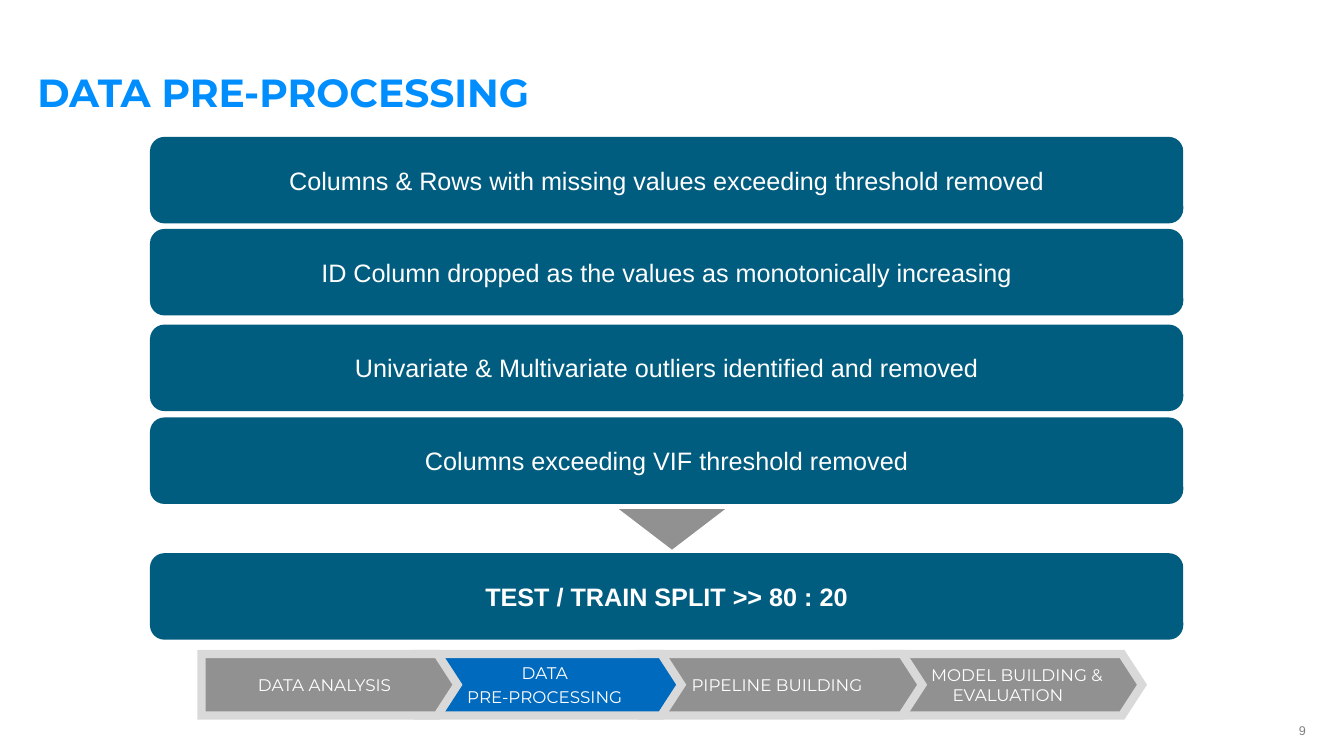
from dataclasses import dataclass

from lxml import etree
from pptx import Presentation
from pptx.dml.color import RGBColor
from pptx.enum.shapes import MSO_SHAPE
from pptx.enum.text import MSO_ANCHOR, MSO_AUTO_SIZE, PP_ALIGN
from pptx.oxml.ns import qn
from pptx.util import Cm, Pt

ROUND = MSO_SHAPE.ROUNDED_RECTANGLE
ARROW = MSO_SHAPE.PENTAGON
WEDGE = MSO_SHAPE.ISOSCELES_TRIANGLE
LEFT, CENTER, RIGHT = PP_ALIGN.LEFT, PP_ALIGN.CENTER, PP_ALIGN.RIGHT
TOP, MIDDLE, BOTTOM = MSO_ANCHOR.TOP, MSO_ANCHOR.MIDDLE, MSO_ANCHOR.BOTTOM
FIXED = MSO_AUTO_SIZE.NONE


@dataclass(frozen=True)
class Theme:
    head: str = "Montserrat"
    body: str = "Arial"
    title: str = "008EFF"
    box: str = "005D80"
    gray: str = "919191"
    active: str = "006ABF"
    edge: str = "D9D9D9"
    white: str = "FFFFFF"
    number: str = "808080"
    title_size: int = 28
    box_size: int = 18
    stage_size: int = 12
    number_size: int = 9


class Deck:
    def __init__(self, theme):
        self.theme = theme
        self.show = Presentation()
        self.show.slide_width, self.show.slide_height = Cm(33.87), Cm(19.05)
        self.slide = self.show.slides.add_slide(self.show.slide_layouts[5])

    def label(self, shape, text, font, size, color, bold=False,
              align=CENTER, anchor=MIDDLE, inset=None, after=0):
        frame = shape.text_frame
        frame.text = text
        frame.word_wrap = True
        frame.auto_size = FIXED
        frame.vertical_anchor = anchor
        if inset is not None:
            frame.margin_left = frame.margin_right = Cm(inset)
            frame.margin_top = frame.margin_bottom = Cm(inset)
        for line in frame.paragraphs:
            line.alignment = align
            line.space_after = Pt(after)
            line.font.name, line.font.size = font, Pt(size)
            line.font.bold = bold
            line.font.color.rgb = RGBColor.from_string(color)
        return frame

    def shape(self, kind, left, top, width, height, fill):
        shape = self.slide.shapes.add_shape(
            kind, Cm(left), Cm(top), Cm(width), Cm(height))
        shape.shadow.inherit = False
        shape.fill.solid()
        shape.fill.fore_color.rgb = RGBColor.from_string(fill)
        shape.line.fill.background()
        return shape

    def title(self, text):
        t, shape = self.theme, self.slide.shapes.title
        shape.left, shape.top = Cm(0.94), Cm(0.1)
        shape.width, shape.height = Cm(32), Cm(2.8)
        frame = self.label(shape, text, t.head, t.title_size, t.title, True,
                           LEFT, BOTTOM, 0)
        frame.paragraphs[0].line_spacing = 0.75

    def number(self, text):
        t = self.theme
        box = self.slide.shapes.add_textbox(
            Cm(30.78), Cm(18.21), Cm(2.13), Cm(0.38))
        self.label(box, text, t.body, t.number_size, t.number,
                   align=RIGHT, anchor=TOP, inset=0)

    def step(self, top, text, bold=False):
        t = self.theme
        box = self.shape(ROUND, 3.78, top, 26.04, 2.18, t.box)
        self.label(box, text, t.body, t.box_size, t.white, bold)

    def wedge(self):
        shape = self.shape(WEDGE, 15.6, 12.83, 2.67, 1.02, self.theme.gray)
        shape.rotation = 180

    def stage(self, left, width, text, active, indent):
        t = self.theme
        shape = self.shape(ARROW, left, 16.48, width, 1.55,
                           t.active if active else t.gray)
        shape.adjustments[0] = 0.324
        shape.line.color.rgb = RGBColor.from_string(t.edge)
        shape.line.width = Pt(6)
        # Sharp corners on the thick outline
        edge = shape.element.spPr.find(qn("a:ln"))
        etree.SubElement(edge, qn("a:miter"), lim="800000")
        frame = self.label(shape, text, t.head, t.stage_size, t.white,
                           inset=0.25, after=3)
        if indent:
            props = frame.paragraphs[0]._p.get_or_add_pPr()
            props.set("indent", str(Cm(indent)))


STEPS = [
    (3.45, "Columns & Rows with missing values exceeding threshold removed"),
    (5.77, "ID Column dropped as the values as monotonically increasing"),
    (8.18, "Univariate & Multivariate outliers identified and removed"),
    (10.52, "Columns exceeding VIF threshold removed"),
]
# Left, width, text, active, first-line indent
STAGES = [
    (5.08, 6.45, "DATA ANALYSIS", False, 0),
    (10.54, 6.63, "DATA\nPRE-PROCESSING", True, 0),
    (16.18, 7.06, "PIPELINE BUILDING", False, 0),
    (22.28, 6.5, "MODEL BUILDING & EVALUATION", False, 0.45),
]


def main():
    deck = Deck(Theme())
    deck.title("DATA PRE-PROCESSING")
    deck.number("9")

    # Cleaning steps, leading to the split
    for top, text in STEPS:
        deck.step(top, text)
    deck.wedge()
    deck.step(13.94, "TEST / TRAIN SPLIT >> 80 : 20", bold=True)

    # Progress bar: each stage overlaps the one to its right
    for stage in reversed(STAGES):
        deck.stage(*stage)

    deck.show.save("out.pptx")


if __name__ == "__main__":
    main()
